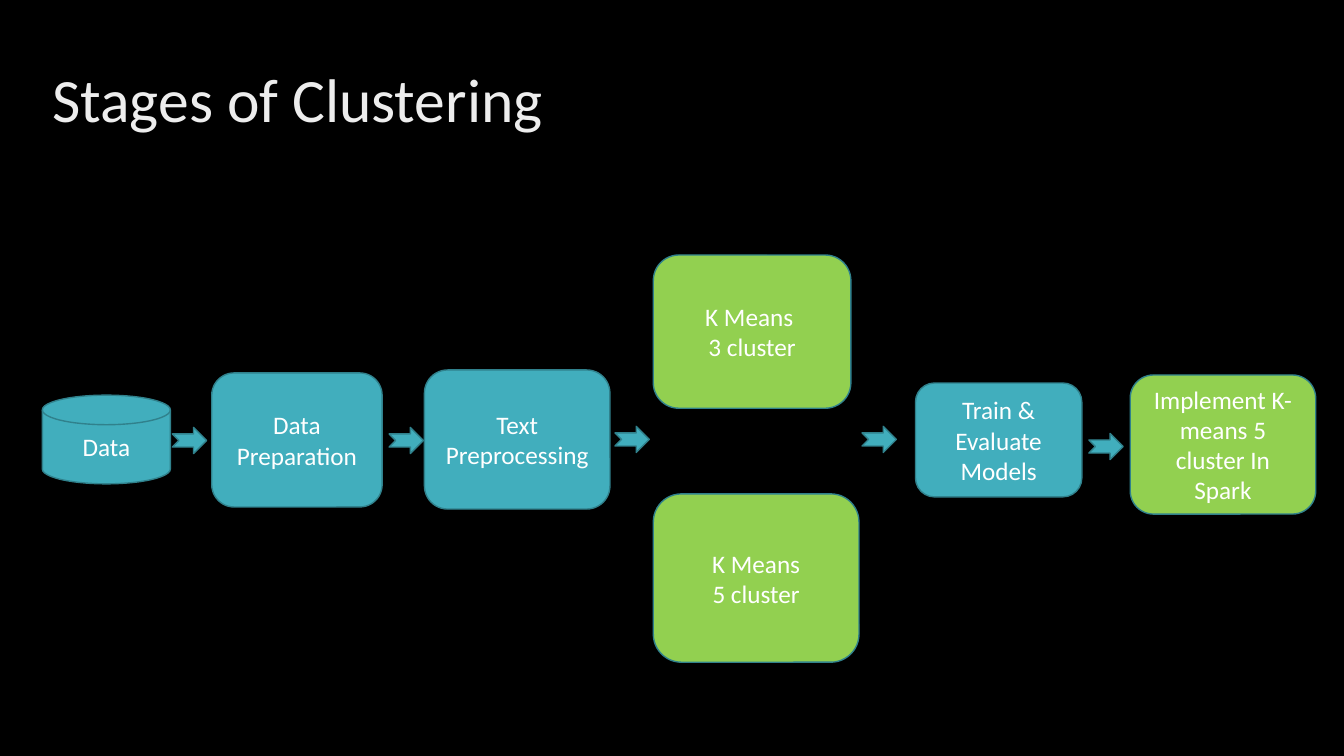
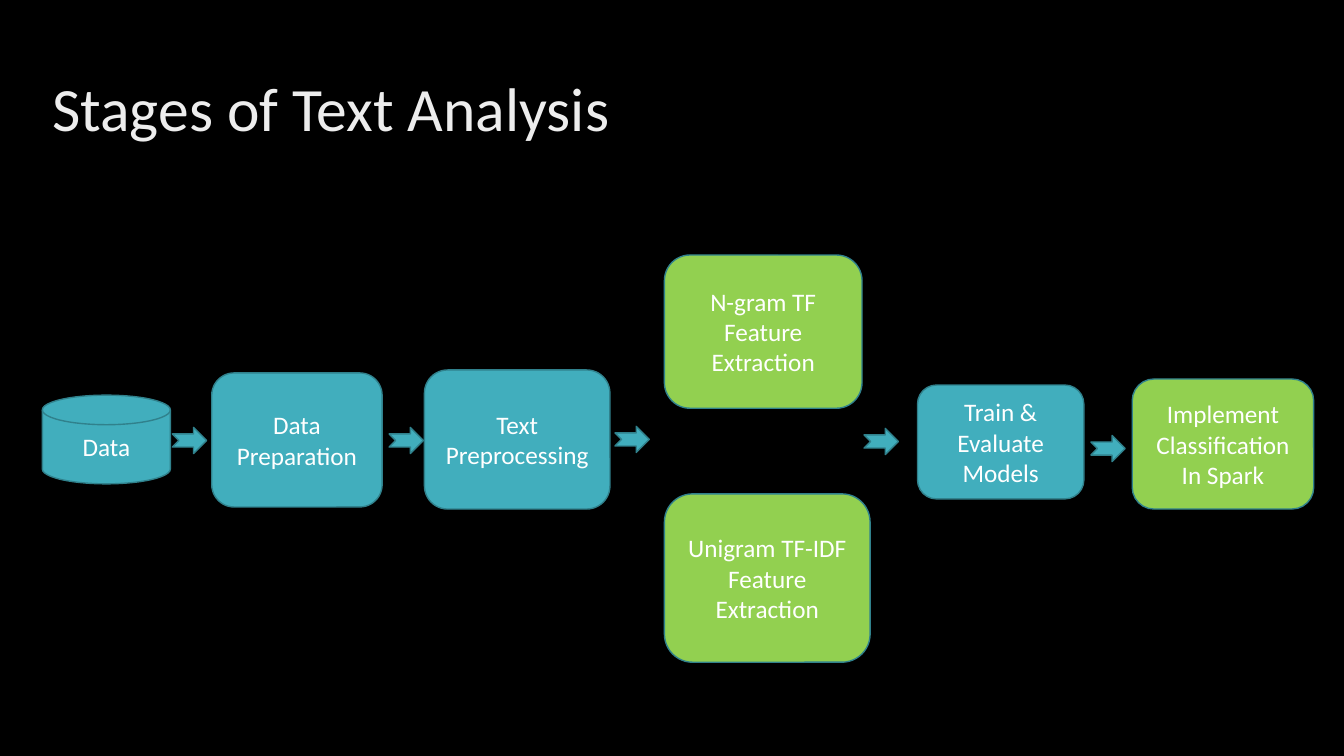
"""Builds two slides that show the stages of a text mining project."""
from pptx import Presentation
from pptx import util as u
from pptx.dml.color import RGBColor
from pptx.enum import shapes, text

BLACK = RGBColor(0x00, 0x00, 0x00)
PALE = RGBColor(0xED, 0xED, 0xED)
WHITE = RGBColor(0xFF, 0xFF, 0xFF)
TEAL = RGBColor(0x41, 0xAE, 0xBD)
DEEP = RGBColor(0x30, 0x81, 0x8C)
GREEN = RGBColor(0x92, 0xD0, 0x50)
FONT = "Calibri"
KIND = shapes.MSO_SHAPE


class Deck:
    """Holds the style and the current slide."""

    def __init__(self):
        self.prs = Presentation()
        self.prs.slide_width = u.Inches(13.33)
        self.prs.slide_height = u.Inches(7.5)
        self.slide = None

    def start(self):
        """Adds a blank slide with a black ground."""
        self.slide = self.prs.slides.add_slide(self.prs.slide_layouts[6])
        fill = self.slide.background.fill
        fill.solid()
        fill.fore_color.rgb = BLACK

    def label(self, shape, lines, size, color, align):
        """Fills a shape with one paragraph for each line."""
        frame = shape.text_frame
        frame.word_wrap = True
        frame.vertical_anchor = text.MSO_ANCHOR.MIDDLE
        for i, line in enumerate(lines):
            para = frame.paragraphs[0] if i == 0 else frame.add_paragraph()
            para.alignment = align
            run = para.add_run()
            run.text = line
            run.font.name = FONT
            run.font.size = u.Pt(size)
            run.font.color.rgb = color
        return frame

    def title(self, words, top):
        """Adds the slide title."""
        area = map(u.Inches, (0.42, top, 11.5, 1.45))
        box = self.slide.shapes.add_textbox(*area)
        frame = self.label(box, [words], 44, PALE, text.PP_ALIGN.LEFT)
        frame.paragraphs[0].line_spacing = 0.9

    def shape(self, kind, area, fill=TEAL):
        """Adds a filled shape with a thin outline."""
        item = self.slide.shapes.add_shape(kind, *map(u.Inches, area))
        item.shadow.inherit = False
        item.fill.solid()
        item.fill.fore_color.rgb = fill
        item.line.color.rgb = DEEP
        item.line.width = u.Pt(1)
        return item

    def stage(self, area, *lines, fill=TEAL, kind=KIND.ROUNDED_RECTANGLE):
        """Adds a labelled stage of the flow."""
        item = self.shape(kind, area, fill)
        self.label(item, lines, 18, WHITE, text.PP_ALIGN.CENTER)

    def arrow(self, left, top):
        """Adds a small arrow between two stages."""
        self.shape(KIND.NOTCHED_RIGHT_ARROW, (left, top, 0.34, 0.26))

    def flow(self, fork, upper, lower, nudge, goal, area):
        """Draws the whole flow, with its two options and its goal."""
        self.stage((0.42, 3.92, 1.27, 0.88), "Data",
                   kind=KIND.FLOWCHART_MAGNETIC_DISK)
        self.stage((2.1, 3.7, 1.69, 1.33), "Data", "Preparation")
        self.stage((4.21, 3.67, 1.84, 1.38), "Text Preprocessing")
        self.stage((fork, 2.53, 1.96, 1.52), *upper, fill=GREEN)
        self.stage((fork, 4.9, 2.04, 1.67), *lower, fill=GREEN)
        self.stage((9.08 + nudge, 3.8 + nudge, 1.65, 1.13),
                   "Train & Evaluate Models")
        self.stage(area, goal, fill=GREEN)
        for left, top in ((1.71, 4.24), (3.86, 4.24), (6.1, 4.23),
                          (8.55 + nudge, 4.23 + nudge),
                          (10.8 + nudge, 4.3 + nudge)):
            self.arrow(left, top)


def main():
    """Builds and saves the deck."""
    deck = Deck()

    deck.start()
    deck.title("Stages of Clustering", 0.29)
    deck.flow(6.48, ["K Means ", "3 cluster"], ["K Means", "5 cluster"], 0,
              "Implement K-means 5 cluster In Spark",
              (11.21, 3.72, 1.84, 1.38))

    deck.start()
    deck.title("Stages of Text Analysis", 0.38)
    deck.flow(6.59, ["N-gram TF Feature Extraction"],
              ["Unigram TF-IDF Feature Extraction"], 0.02,
              "Implement Classification In Spark",
              (11.23, 3.76, 1.8, 1.29))

    deck.prs.save("out.pptx")


if __name__ == "__main__":
    main()
